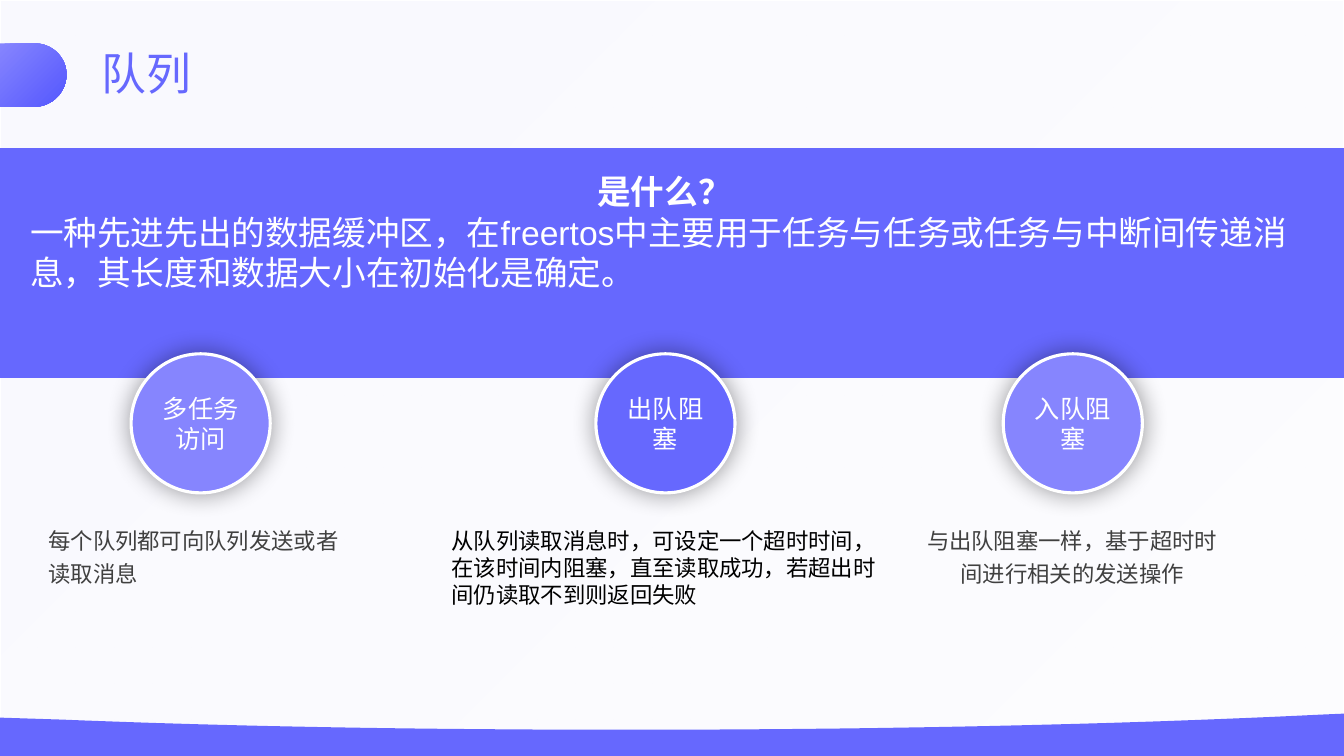
from dataclasses import dataclass

from lxml.etree import SubElement
from pptx import Presentation
from pptx.dml.color import RGBColor
from pptx.enum.lang import MSO_LANGUAGE_ID
from pptx.enum.shapes import MSO_SHAPE
from pptx.enum.text import MSO_ANCHOR, MSO_AUTO_SIZE, PP_ALIGN
from pptx.oxml.ns import qn
from pptx.util import Inches, Pt


@dataclass(frozen=True)
class Theme:
    font: str = "Arial"
    violet: str = "6668FE"
    lilac: str = "8685FE"
    deep: str = "5457FE"
    white: str = "FFFFFF"
    black: str = "000000"
    grey: str = "404040"
    title: int = 32
    lead: int = 24
    label: int = 18
    body: int = 16


THEME = Theme()
WIDTH, HEIGHT = 13.33, 7.5
CIRCLE_TOP, CIRCLE_SIZE, BODY_TOP = 3.51, 1.38, 5.18


def color(value):
    return RGBColor.from_string(value)


def paint(shape, fill, line=None, line_width=1):
    shape.shadow.inherit = False
    shape.fill.solid()
    shape.fill.fore_color.rgb = color(fill)
    if line:
        shape.line.color.rgb = color(line)
        shape.line.width = Pt(line_width)
    else:
        shape.line.fill.background()


def paint_gradient(shape, stops):
    """Fill diagonally with two (colour, opacity percent) stops."""
    shape.fill.gradient()
    shape.fill.gradient_angle = 315
    for stop, (value, opacity) in zip(shape.fill.gradient_stops, stops):
        stop.color.rgb = color(value)
    marks = shape._element.spPr.iter(qn("a:srgbClr"))
    for mark, (value, opacity) in zip(marks, stops):
        SubElement(mark, qn("a:alpha"), val=str(opacity * 1000))


def add_glow(shape):
    effects = shape._element.spPr.find(qn("a:effectLst"))
    glow = SubElement(effects, qn("a:outerShdw"), blurRad=str(Pt(18)),
                      dist="0", dir="0", algn="ctr", rotWithShape="0")
    tone = SubElement(glow, qn("a:srgbClr"), val=THEME.black)
    SubElement(tone, qn("a:alpha"), val="40000")


def curve(start, first, second, end, steps=24):
    """Points along a cubic curve, without its start."""
    points = []
    for step in range(1, steps + 1):
        t = step / steps
        u = 1 - t
        weights = (u ** 3, 3 * u * u * t, 3 * u * t * t, t ** 3)
        corners = (start, first, second, end)
        points.append(tuple(sum(w * corner[axis] for w, corner in zip(weights, corners))
                            for axis in (0, 1)))
    return points


def add_outline(page, points, fill):
    places = [(Inches(x), Inches(y)) for x, y in points]
    builder = page.shapes.build_freeform(*places[0], scale=1.0)
    builder.add_line_segments(places[1:], close=True)
    shape = builder.convert_to_shape()
    paint(shape, fill)
    return shape


def add_shape(page, kind, place, fill, line=None, line_width=1):
    shape = page.shapes.add_shape(kind, *map(Inches, place))
    paint(shape, fill, line, line_width)
    return shape


def add_span(para, text, size, tone, bold=False):
    span = para.add_run()
    span.text = text
    span.font.name = THEME.font
    span.font.size = Pt(size)
    span.font.bold = bold
    span.font.color.rgb = color(tone)
    span.font.language_id = MSO_LANGUAGE_ID.SIMPLIFIED_CHINESE


def add_text(page, place, text, size, tone, align=PP_ALIGN.LEFT,
             spacing=None, inset=True, grow=True):
    box = page.shapes.add_textbox(*map(Inches, place))
    frame = box.text_frame
    frame.word_wrap = True
    frame.auto_size = MSO_AUTO_SIZE.SHAPE_TO_FIT_TEXT if grow else MSO_AUTO_SIZE.NONE
    if not inset:
        frame.margin_left = frame.margin_right = 0
        frame.margin_top = frame.margin_bottom = 0
    para = frame.paragraphs[0]
    para.alignment = align
    if spacing:
        para.line_spacing = spacing
    add_span(para, text, size, tone)
    return frame


def add_circle(page, left, label, fill):
    circle = add_shape(page, MSO_SHAPE.OVAL, (left, CIRCLE_TOP, CIRCLE_SIZE, CIRCLE_SIZE),
                       fill, THEME.white, 2.25)
    add_glow(circle)
    frame = circle.text_frame
    frame.word_wrap = True
    frame.vertical_anchor = MSO_ANCHOR.MIDDLE
    para = frame.paragraphs[0]
    para.alignment = PP_ALIGN.CENTER
    add_span(para, label, THEME.label, THEME.white)


def add_backdrop(page):
    tint = add_shape(page, MSO_SHAPE.RECTANGLE, (0, 0, WIDTH, HEIGHT),
                     THEME.white, THEME.white)
    paint_gradient(tint, [(THEME.lilac, 5), (THEME.violet, 2)])

    # Wave along the bottom edge
    wave = [(WIDTH, 7.08), (WIDTH, 7.52), (0, 7.52), (0, 7.12), (0.63, 7.14)]
    wave += curve((0.63, 7.14), (2.35, 7.21), (4.25, 7.24), (6.24, 7.24))
    wave += curve((6.24, 7.24), (8.72, 7.24), (11.06, 7.19), (13.1, 7.09))
    add_outline(page, wave, THEME.violet)

    # Rounded tab beside the title
    tab = [(0, 0.43), (0.34, 0.43)]
    tab += curve((0.34, 0.43), (0.52, 0.43), (0.66, 0.57), (0.66, 0.74))
    tab += curve((0.66, 0.74), (0.66, 0.91), (0.52, 1.06), (0.34, 1.06))
    tab.append((0, 1.06))
    paint_gradient(add_outline(page, tab, THEME.violet),
                   [(THEME.lilac, 100), (THEME.deep, 100)])


def add_definition(page):
    add_shape(page, MSO_SHAPE.RECTANGLE, (0, 1.47, WIDTH, 2.28), THEME.violet)
    frame = add_text(page, (0.2, 1.65, 12.78, 1.7), "", THEME.lead, THEME.white,
                     PP_ALIGN.CENTER, grow=False)
    question = frame.paragraphs[0].runs[0]
    question.text = "是什么？"
    question.font.bold = True
    add_span(frame.add_paragraph(),
             "一种先进先出的数据缓冲区，在freertos中主要用于任务与任务或任务与中断间传递消息，"
             "其长度和数据大小在初始化是确定。", THEME.lead, THEME.white)


def main():
    deck = Presentation()
    deck.slide_width, deck.slide_height = Inches(WIDTH), Inches(HEIGHT)
    page = deck.slides.add_slide(deck.slide_layouts[6])

    # Backdrop, title and definition band
    add_backdrop(page)
    title = add_text(page, (0.91, 0.46, 2.12, 0.58), "队列", THEME.title,
                     THEME.violet, spacing=0.9)
    title.paragraphs[0].space_before = Pt(0)
    add_definition(page)

    # Three features
    for left, label, fill in ((1.3, "多任务访问", THEME.lilac),
                              (5.91, "出队阻塞", THEME.violet),
                              (9.95, "入队阻塞", THEME.lilac)):
        add_circle(page, left, label, fill)
    add_text(page, (0.48, BODY_TOP, 3.01, 0.65), "每个队列都可向队列发送或者读取消息",
             THEME.body, THEME.grey, spacing=1.2, inset=False)
    add_text(page, (4.38, BODY_TOP, 4.44, 0.91),
             "从队列读取消息时，可设定一个超时时间，在该时间内阻塞，直至读取成功，"
             "若超出时间仍读取不到则返回失败", THEME.body, THEME.black)
    add_text(page, (9.16, BODY_TOP, 2.95, 0.65),
             "与出队阻塞一样，基于超时时间进行相关的发送操作",
             THEME.body, THEME.grey, PP_ALIGN.CENTER, 1.2, inset=False)

    deck.save("out.pptx")


if __name__ == "__main__":
    main()
